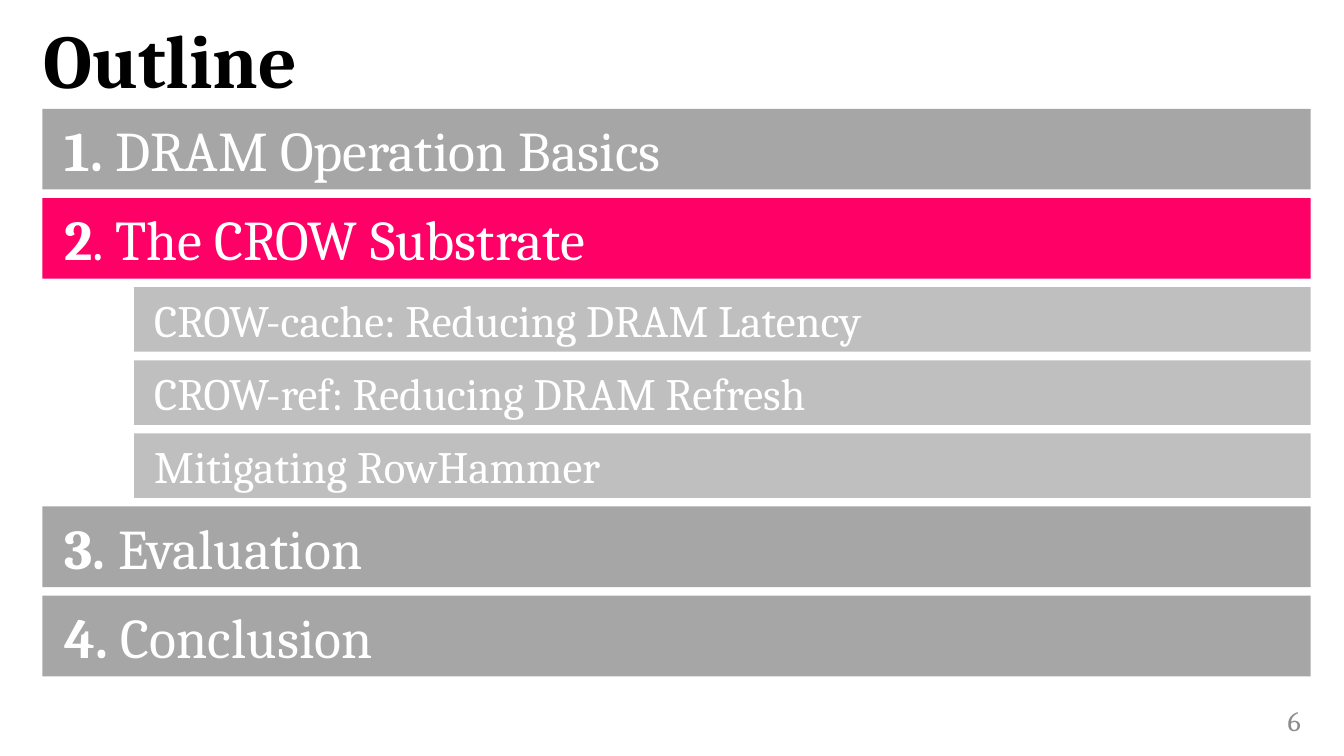
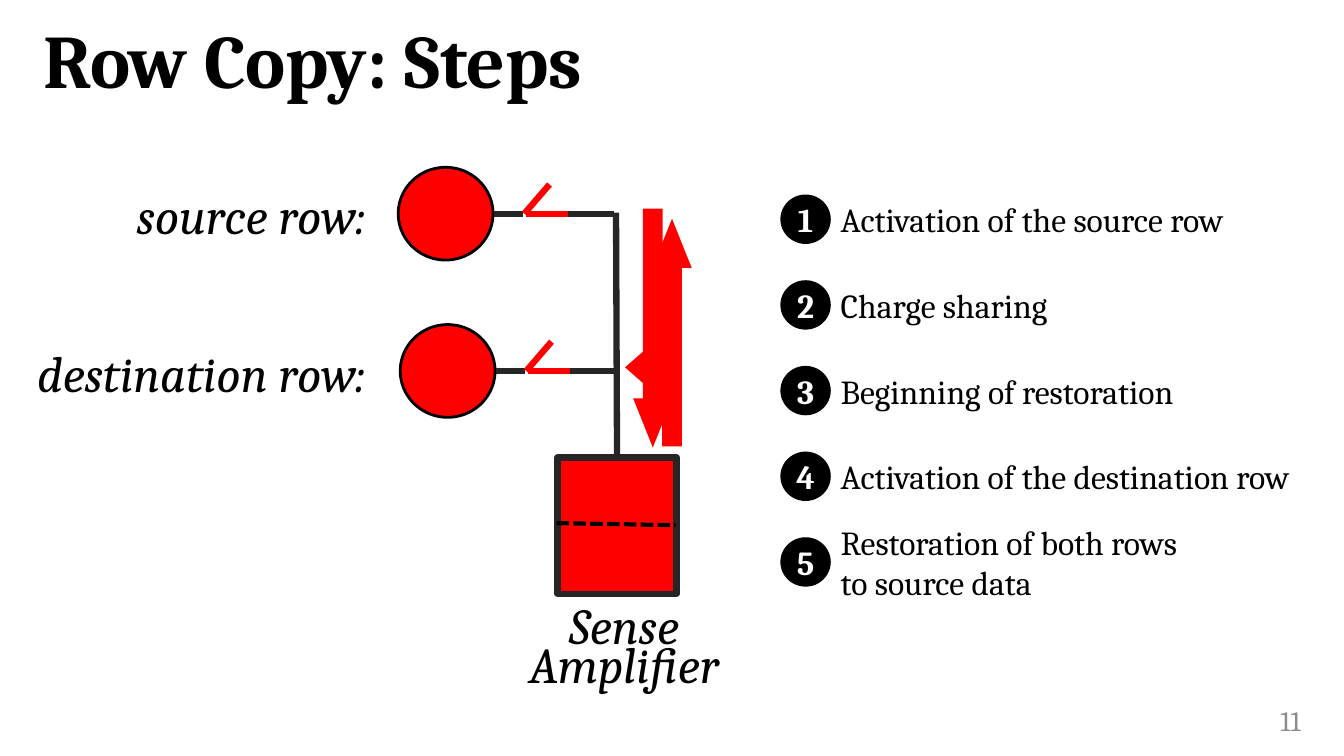
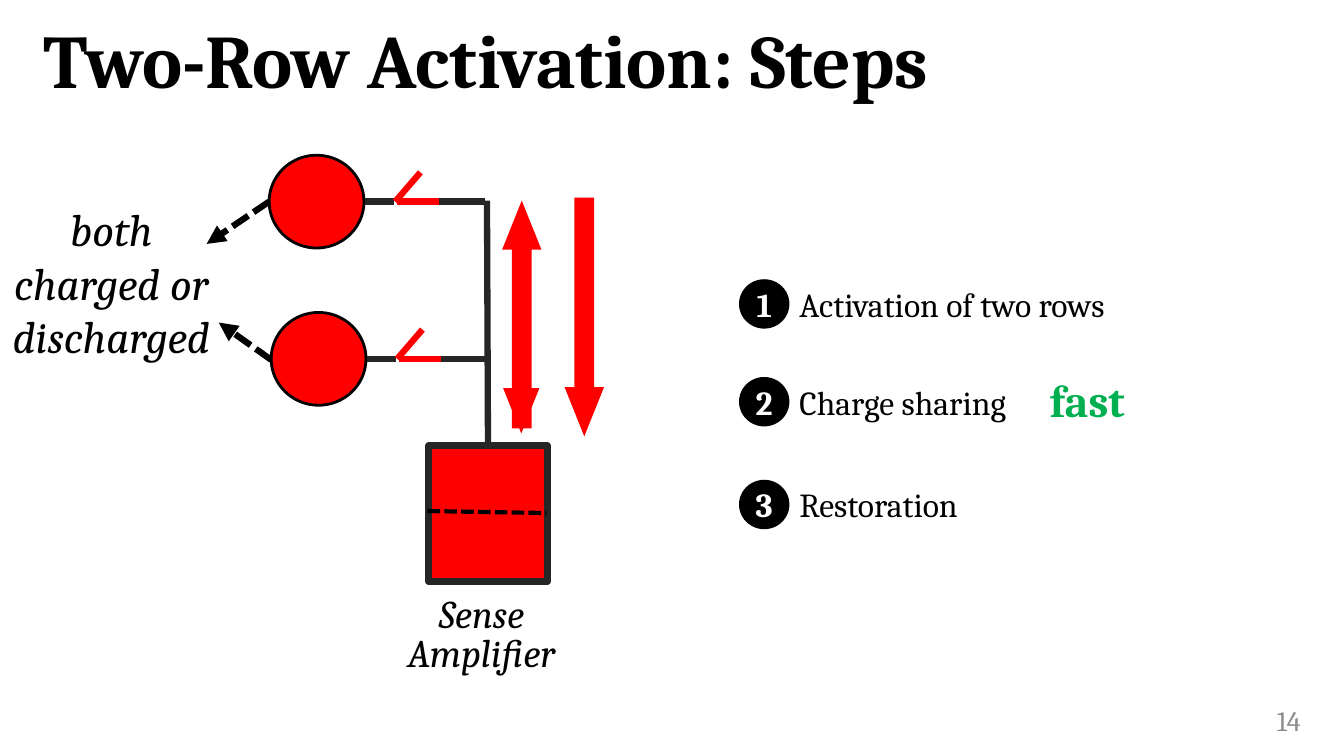
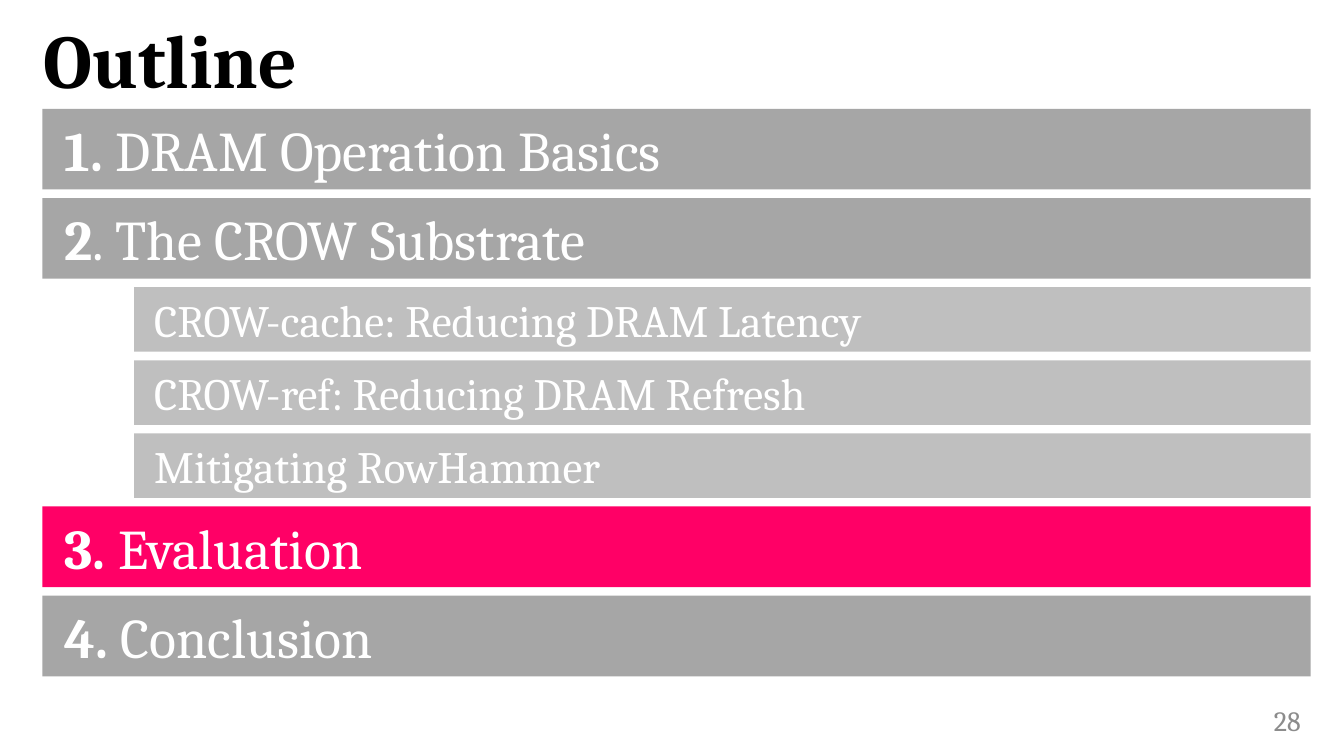
from lxml.etree import SubElement
from pptx import Presentation
from pptx.dml.color import RGBColor as RGB
from pptx.enum.dml import MSO_LINE as DASH
from pptx.enum.shapes import MSO_CONNECTOR as CONN, MSO_SHAPE as SHP
from pptx.enum.text import MSO_ANCHOR as ANC, PP_ALIGN as AL
from pptx.oxml.ns import qn
from pptx.util import Inches as In, Pt

# Theme
THEME = {
    "font": "Cambria", "ink": "000000", "paper": "FFFFFF", "wire": "262626",
    "charge": "FF0000", "bar": "A6A6A6", "subbar": "BFBFBF", "accent": "FF0066",
    "page": "8C8C8C", "good": "00B050",
    "title_pt": 54, "bar_pt": 40, "label_pt": 36, "subbar_pt": 32,
    "caption_pt": 28, "step_pt": 24, "page_pt": 20, "wire_pt": 4.5,
}
W, H = 13.33, 7.5

# Content: outline entries are (bold number, text); no number means a sub-entry
OUTLINE = [
    ("1. ", "DRAM Operation Basics"),
    ("2", ". The CROW Substrate"),
    ("", "CROW-cache: Reducing DRAM Latency"),
    ("", "CROW-ref: Reducing DRAM Refresh"),
    ("", "Mitigating RowHammer"),
    ("3. ", "Evaluation"),
    ("4. ", "Conclusion"),
]

# Arrows are (shape, left, top, width, height, head length / width)
ROW_COPY = {
    "origin": (3.95, 1.66), "caption_at": (5.04, 6.19, 2.3, 0.6),
    "caption_pt": THEME["label_pt"],
    "arrows": [(SHP.UP_ARROW, 6.47, 2.17, 0.39, 2.26, 1.25),
               (SHP.DOWN_ARROW, 6.28, 2.07, 0.39, 2.37, 1.25),
               (SHP.LEFT_ARROW, 6.2, 3.43, 0.47, 0.43, 0.57)],
    "steps_left": 7.74, "step_tops": [1.93 + 0.85 * i for i in range(5)],
    "steps": ["Activation of the source row", "Charge sharing",
              "Beginning of restoration", "Activation of the destination row",
              "Restoration of both rows\nto source data"],
}
TWO_ROW = {
    "origin": (2.67, 1.54), "caption_at": (3.82, 6.04, 1.91, 0.54),
    "caption_pt": THEME["caption_pt"],
    "arrows": [(SHP.DOWN_ARROW, 5.6, 1.96, 0.39, 2.37, 1.25),
               (SHP.DOWN_ARROW, 4.99, 3.52, 0.36, 0.78, 1.25),
               (SHP.UP_ARROW, 4.98, 1.99, 0.39, 2.26, 1.25)],
    "steps_left": 7.33, "step_tops": [2.77, 3.74, 4.76],
    "steps": ["Activation of two rows", "Charge sharing", "Restoration"],
}
ROW_LABELS = [("source row:", 1.78), ("destination row:", 3.34)]


# Drawing helpers
def color(name):
    return RGB.from_string(THEME[name])


def write(sp, paras, size, ink="ink", align=AL.LEFT, anchor=ANC.MIDDLE,
          inset=0.1, spacing=None, **fmt):
    """Fill a shape with paragraphs; each is a string or a list of (text, bold)."""
    tf = sp.text_frame
    frame = {"word_wrap": True, "vertical_anchor": anchor, "margin_left": In(inset),
             "margin_right": In(min(inset, 0.1))}
    for key, val in frame.items():
        setattr(tf, key, val)
    for i, para in enumerate(paras):
        p = tf.paragraphs[0] if i == 0 else tf.add_paragraph()
        p.alignment, p.line_spacing = align, spacing
        runs = [(para, fmt.get("bold", False))] if isinstance(para, str) else para
        for text, bold in runs:
            for n, line in enumerate(text.split("\n")):
                if n:
                    p.add_line_break()
                r = p.add_run()
                r.text = line
                font = {"name": THEME["font"], "size": Pt(size), **fmt, "bold": bold}
                for key, val in font.items():
                    setattr(r.font, key, val)
                r.font.color.rgb = color(ink)


def label(s, at, paras, size, **style):
    write(s.shapes.add_textbox(*map(In, at)), paras, size, **style)


def shape(s, kind, at, fill, line=None, width=0):
    sp = s.shapes.add_shape(kind, *map(In, at))
    sp.shadow.inherit = False
    sp.fill.solid()
    sp.fill.fore_color.rgb = color(fill)
    if line:
        sp.line.color.rgb, sp.line.width = color(line), Pt(width)
    else:
        sp.line.fill.background()
    return sp


def wire(s, start, end, ink="wire", width=THEME["wire_pt"], dotted=False, arrow=False):
    c = s.shapes.add_connector(CONN.STRAIGHT, *map(In, (*start, *end)))
    c.line.color.rgb, c.line.width = color(ink), Pt(width)
    if dotted:
        c.line.dash_style = DASH.SQUARE_DOT
    if arrow:
        SubElement(c.line._get_or_add_ln(), qn("a:tailEnd"), type="triangle")
    SubElement(c._element.spPr, qn("a:effectLst"))


def new_slide(prs, title, page):
    s = prs.slides.add_slide(prs.slide_layouts[6])
    label(s, (0.33, 0.17, 12.67, 0.92), [title], THEME["title_pt"], spacing=0.9, bold=True)
    label(s, (12, 6.95, 1, 0.4), [str(page)], THEME["page_pt"], ink="page", align=AL.RIGHT)
    return s


# Slide parts
def outline(prs, page, current):
    s = new_slide(prs, "Outline", page)
    top, bottom, right = 1.08, 6.71, 13
    heights = [0.8 if number else 0.64 for number, _ in OUTLINE]
    gap = (bottom - top - sum(heights)) / (len(OUTLINE) - 1)
    for i, ((number, text), h) in enumerate(zip(OUTLINE, heights)):
        left, size, fill, inset = ((0.42, THEME["bar_pt"], "bar", 0.22) if number
                                   else (1.33, THEME["subbar_pt"], "subbar", 0.2))
        bar = shape(s, SHP.RECTANGLE, (left, top, right - left, h),
                    "accent" if i == current else fill)
        runs = [(number, True), (text, False)] if number else [(text, False)]
        write(bar, [runs], size, ink="paper", inset=inset)
        top += h + gap


def circuit(s, data):
    """Two cells with switches on one bitline that ends in a sense amplifier."""
    def at(x, y, dx=0, dy=0):
        return data["origin"][0] + x + dx, data["origin"][1] + y + dy

    wire(s, at(2.17, 2.85), at(2.16, 0.45))
    for shift in ((0, 0), (0.02, 1.56)):
        shape(s, SHP.OVAL, (*at(0, 0, *shift), 0.94, 0.92), "charge", "ink", 2)
        for x1, x2, y2, ink in ((0.95, 1.24, 0.46, "wire"), (1.66, 2.14, 0.46, "wire"),
                                (1.25, 1.5, 0.17, "charge"), (1.27, 1.68, 0.46, "charge")):
            wire(s, at(x1, 0.46, *shift), at(x2, y2, *shift), ink)
    shape(s, SHP.RECTANGLE, (*at(1.58, 2.88), 1.18, 1.35), "charge", "wire", THEME["wire_pt"])
    wire(s, at(1.57, 3.53), at(2.75, 3.55), "ink", 3, dotted=True)
    label(s, data["caption_at"], ["Sense", "Amplifier"], data["caption_pt"],
          align=AL.CENTER, spacing=Pt(28), italic=True)
    for kind, x, y, w, h, head in data["arrows"]:
        sp = shape(s, kind, (x, y, w, h), "charge")
        sp.adjustments[0], sp.adjustments[1] = 0.5, head


def steps(s, data):
    x, d, h = data["steps_left"], 0.5, 0.49
    for n, (y, text) in enumerate(zip(data["step_tops"], data["steps"]), 1):
        dot = shape(s, SHP.OVAL, (x, y, d, h), "ink")
        write(dot, [str(n)], THEME["step_pt"], ink="paper", align=AL.CENTER, inset=0, bold=True)
        label(s, (x + d, y, 5.07, h), [text], THEME["step_pt"])


def row_copy(prs):
    s = new_slide(prs, "Row Copy: Steps", 11)
    circuit(s, ROW_COPY)
    for text, y in ROW_LABELS:
        label(s, (0, y, 3.72, 0.71), [text], THEME["label_pt"], align=AL.RIGHT,
              anchor=ANC.TOP, italic=True)
    steps(s, ROW_COPY)


def two_row(prs):
    s = new_slide(prs, "Two-Row Activation: Steps", 14)
    circuit(s, TWO_ROW)
    steps(s, TWO_ROW)
    label(s, (9.83, 3.65, 1.91, 0.64), ["fast"], THEME["subbar_pt"], ink="good",
          align=AL.CENTER, anchor=ANC.TOP, bold=True)
    label(s, (0, 1.95, 2.21, 1.72), ["both charged or discharged"], THEME["subbar_pt"],
          align=AL.CENTER, anchor=ANC.TOP, inset=0, italic=True)
    for start, end in (((2.69, 3.57), (2.17, 3.2)), ((2.67, 2), (2.05, 2.42))):
        wire(s, start, end, "ink", dotted=True, arrow=True)


def main():
    prs = Presentation()
    prs.slide_width, prs.slide_height = In(W), In(H)
    outline(prs, 6, current=1)
    row_copy(prs)
    two_row(prs)
    outline(prs, 28, current=5)
    prs.save("out.pptx")


if __name__ == "__main__":
    main()
